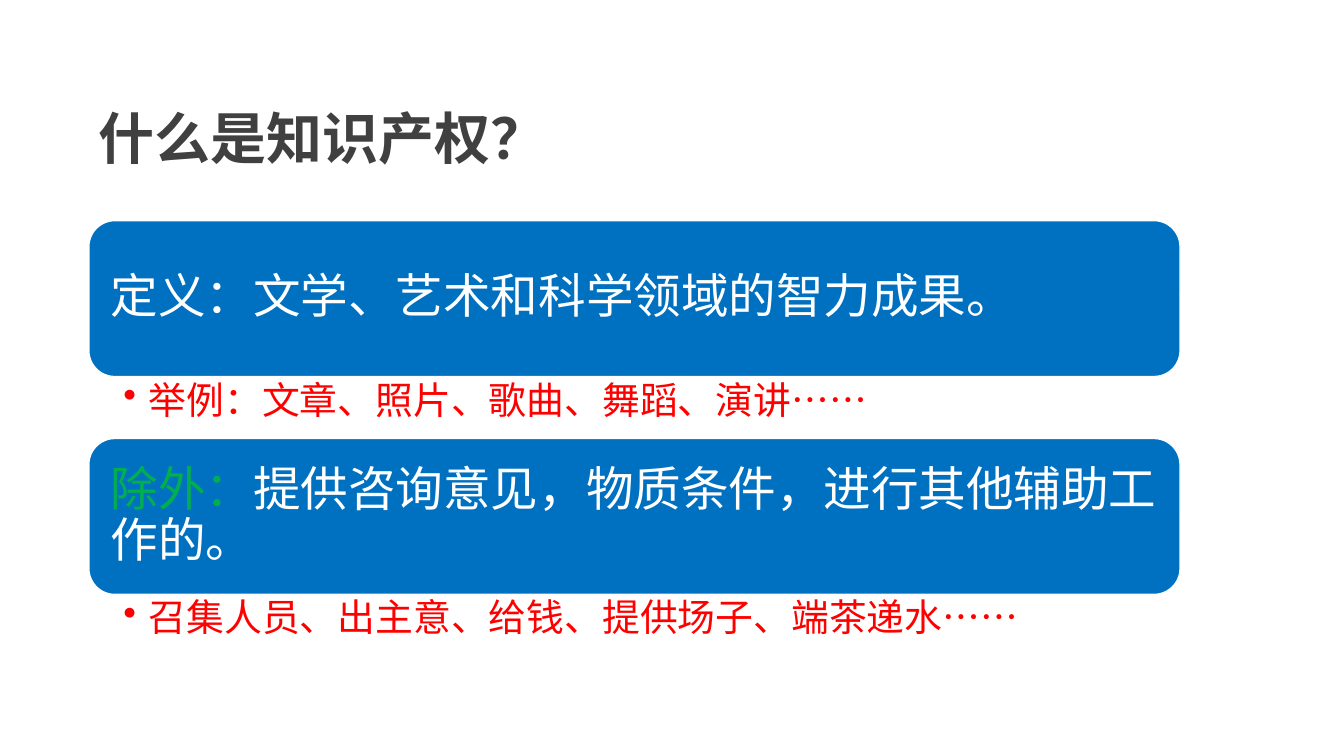
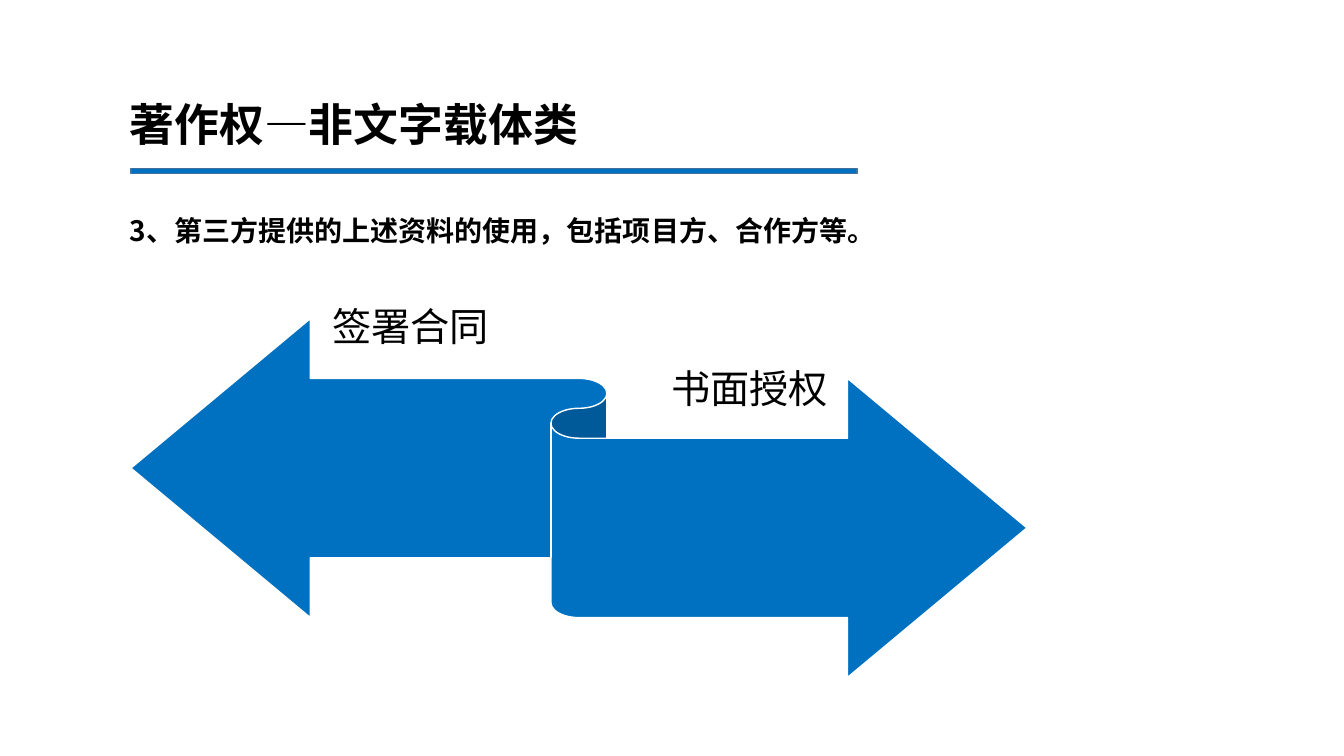
from lxml import etree
from pptx import Presentation
from pptx import util as u
from pptx.dml.color import RGBColor
from pptx.enum import shapes, text
from pptx.oxml.ns import qn

BLUE, EDGE, WHITE, BLACK = "0070C0", "42719B", "FFFFFF", "000000"
GREY, GREEN, RED = "404040", "00B050", "FF0000"
CJK, LATIN = "Noto Sans CJK SC", "Arial"


def rgb(value):
    return RGBColor.from_string(value)


def write(sp, runs, size=28, color=BLACK, font=LATIN, bold=False, spacing=1.0,
          align=text.PP_ALIGN.LEFT, anchor=text.MSO_ANCHOR.TOP,
          insets=(0.25, 0.13, 0.25, 0.13), bullet=False):
    """Fill a shape with one paragraph; runs is a string or (string, color) pairs."""
    tf = sp.text_frame
    tf.word_wrap = True
    tf.vertical_anchor = anchor
    tf.margin_left, tf.margin_top, tf.margin_right, tf.margin_bottom = map(u.Cm, insets)
    p = tf.paragraphs[0]
    p.alignment, p.line_spacing = align, spacing
    if bullet:
        pPr = p._p.get_or_add_pPr()
        pPr.set("marL", str(u.Cm(0.64)))
        pPr.set("indent", str(-u.Cm(0.64)))
        etree.SubElement(pPr, qn("a:buChar")).set("char", "•")
    for words, run_color in [(runs, color)] if isinstance(runs, str) else runs:
        r = p.add_run()
        r.text = words
        r.font.size, r.font.bold, r.font.name = u.Pt(size), bold, font
        r.font.color.rgb = rgb(run_color)
        etree.SubElement(r._r.get_or_add_rPr(), qn("a:ea")).set("typeface", CJK)


class Deck:
    """Holds the presentation, its style and the current slide."""

    def __init__(self):
        self.prs = Presentation()
        self.prs.slide_width, self.prs.slide_height = u.Cm(33.87), u.Cm(19.05)
        self.slide = None

    def new_slide(self):
        self.slide = self.prs.slides.add_slide(self.prs.slide_layouts[6])

    def shape(self, kind, x, y, w, h, line=WHITE):
        sp = self.slide.shapes.add_shape(kind, *map(u.Cm, (x, y, w, h)))
        sp.shadow.inherit = False
        sp.fill.solid()
        sp.fill.fore_color.rgb = rgb(BLUE)
        sp.line.color.rgb = rgb(line)
        sp.line.width = u.Pt(1)
        return sp

    def label(self, runs, x, y, w, h, **style):
        sp = self.slide.shapes.add_textbox(*map(u.Cm, (x, y, w, h)))
        write(sp, runs, **style)

    def heading(self, words, x, y, w, h, **style):
        self.label(words, x, y, w, h, font=CJK, bold=True, **style)

    def panel(self, runs, example, x, y, w, h):
        """Rounded box with a bulleted example under it."""
        sp = self.shape(shapes.MSO_SHAPE.ROUNDED_RECTANGLE, x, y, w, h)
        write(sp, runs, size=34, color=WHITE, spacing=0.9,
              anchor=text.MSO_ANCHOR.MIDDLE, insets=(0.36, 0.36, 0.3, 0.36))
        self.label(example, x, y + h, w, 1.57, size=27, color=RED, spacing=0.9,
                   insets=(0.87, 0.12, 0.66, 0.12), bullet=True)


def main():
    deck = Deck()

    # Definition and exceptions
    deck.new_slide()
    deck.heading("什么是知识产权？", 2.24, 2.13, 14, 2.46, size=40, color=GREY, spacing=1.2)
    panels = [
        ("定义：文学、艺术和科学领域的智力成果。",
         "举例：文章、照片、歌曲、舞蹈、演讲……"),
        ([("除外：", GREEN), ("提供咨询意见，物质条件，进行其他辅助工作的。", WHITE)],
         "召集人员、出主意、给钱、提供场子、端茶递水……"),
    ]
    for i, (runs, example) in enumerate(panels):
        deck.panel(runs, example, 2.24, 5.56 + i * 5.49, 27.5, 3.93)

    # Material from third parties
    deck.new_slide()
    deck.shape(shapes.MSO_SHAPE.RECTANGLE, 3.3, 4.25, 18.3, 0.13, line=EDGE)
    deck.heading("著作权—非文字载体类", 3.02, 2.31, 14, 1.62, size=32)
    deck.heading("3、第三方提供的上述资料的使用，包括项目方、合作方等。",
                 3.02, 4.75, 22, 1.62, size=20, spacing=1.6)

    # Two-way ribbon with a label for each direction
    deck.shape(shapes.MSO_SHAPE.LEFT_RIGHT_RIBBON, 3.3, 8.03, 22.58, 9.04)
    for words, x, y, w in [("签署合同", 6.63, 6.02, 7.44), ("书面授权", 14.48, 7.57, 8.81)]:
        deck.label(words, x, y, w, 4.42, align=text.PP_ALIGN.CENTER,
                   anchor=text.MSO_ANCHOR.MIDDLE, insets=(0, 0.28, 0, 0.3))

    deck.prs.save("out.pptx")


if __name__ == "__main__":
    main()
